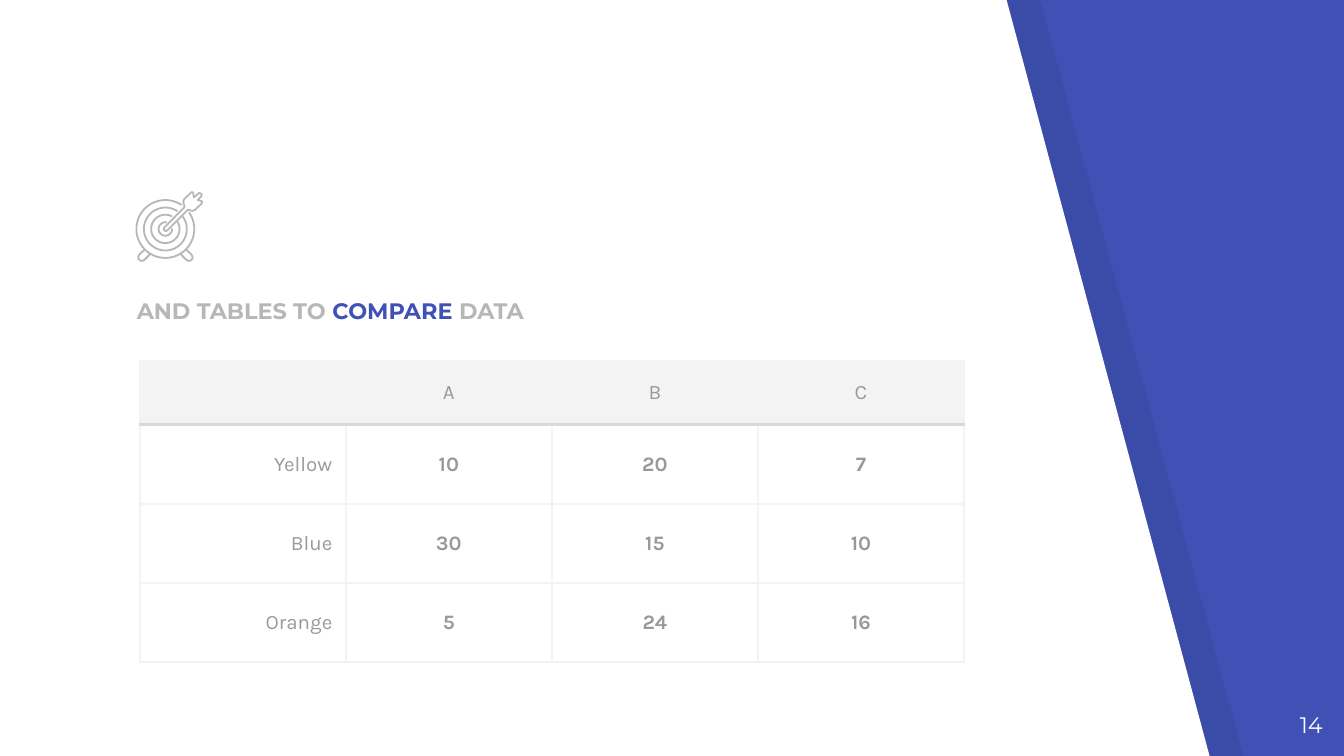
import math
from dataclasses import dataclass

from lxml import etree
from pptx import Presentation
from pptx import util as u
from pptx.dml import color
from pptx.enum import text
from pptx.oxml import ns


@dataclass(frozen=True)
class Theme:
    """Colours, fonts and type sizes of the deck."""
    blue: str = "3F51B5"
    white: str = "FFFFFF"
    black: str = "000000"
    muted: str = "B7B7B7"
    body: str = "999999"
    grid: str = "F3F3F3"
    rule: str = "D9D9D9"
    heading_font: str = "Montserrat"
    body_font: str = "Karla"
    heading_size: float = 12
    body_size: float = 11
    icon_line: float = 0.96
    grid_line: float = 1.5


@dataclass(frozen=True)
class Box:
    """A region of the page, in points."""
    left: float
    top: float
    width: float
    height: float

    def lengths(self):
        """Return the box as slide lengths."""
        return [u.Pt(side) for side in (self.left, self.top, self.width, self.height)]


THEME = Theme()
ALIGN = text.PP_ALIGN
ANCHOR = text.MSO_ANCHOR


def rgb(code):
    """Turn a hex code into a colour."""
    return color.RGBColor.from_string(code)


def write(frame, spans, font, size, align=ALIGN.LEFT, anchor=ANCHOR.TOP, bold=False):
    """Write (wording, colour) spans as one paragraph of a text frame."""
    frame.word_wrap = True
    frame.vertical_anchor = anchor
    para = frame.paragraphs[0]
    para.alignment = align
    for wording, code in spans:
        span = para.add_run()
        span.text = wording
        span.font.name = font
        span.font.size = u.Pt(size)
        span.font.bold = bold
        span.font.color.rgb = rgb(code)


def add_text(page, box, spans, **form):
    """Add a text box with even insets."""
    frame = page.shapes.add_textbox(*box.lengths()).text_frame
    frame.margin_left = frame.margin_right = u.Pt(7.2)
    frame.margin_top = frame.margin_bottom = u.Pt(7.2)
    write(frame, spans, **form)


def add_outline(page, box, points, fill=None, line=None, alpha=None, close=False):
    """Draw a freeform through points measured from the corner of the box."""
    places = [(u.Pt(box.left + x), u.Pt(box.top + y)) for x, y in points]
    builder = page.shapes.build_freeform(*places[0])
    builder.add_line_segments(places[1:], close=close)
    shape = builder.convert_to_shape()
    shape.shadow.inherit = False
    if fill:
        shape.fill.solid()
        shape.fill.fore_color.rgb = rgb(fill)
    else:
        shape.fill.background()
    if line:
        shape.line.color.rgb = rgb(line)
        shape.line.width = u.Pt(THEME.icon_line)
    else:
        shape.line.fill.background()
    if alpha:
        tint = shape.fill._xPr.find(".//" + ns.qn("a:srgbClr"))
        etree.SubElement(tint, ns.qn("a:alpha"), val=str(alpha * 1000))


def add_backdrop(page, box):
    """Lay a slanted white sheet and its soft shadow over the blue page."""
    page.background.fill.solid()
    page.background.fill.fore_color.rgb = rgb(THEME.blue)
    sheet = [(0, 0), (0, box.height), (0.9 * box.width, box.height), (0.749 * box.width, 0)]
    shadow = [(x + 18, y) for x, y in sheet]
    add_outline(page, box, shadow, fill=THEME.black, alpha=7, close=True)
    add_outline(page, box, sheet, fill=THEME.white, close=True)


def add_target_icon(page, box):
    """Draw a target on two feet, hit by an arrow."""
    middle_x, middle_y = 15.9, 19.8
    rings = [(15.5, 35, 56), (11.5, 36, 56), (7.6, 31, 62), (3.6, 5, 78)]
    for radius, gap_start, gap_end in rings:
        sweep = 360 - gap_end + gap_start
        angles = [math.radians(gap_end + sweep * step / 60) for step in range(61)]
        arc = [(middle_x + radius * math.cos(a), middle_y - radius * math.sin(a))
               for a in angles]
        add_outline(page, box, arc, line=THEME.muted)
    foot = [(11.3, 11.2), (14, 13.7), (14.6, 15), (14.3, 16.2), (13.4, 17),
            (12.3, 17.1), (11.2, 16.5), (8.6, 13.9), (8.4, 13.2)]
    for side in (-1, 1):
        points = [(middle_x + side * x, middle_y + y) for x, y in foot]
        add_outline(page, box, points, line=THEME.muted)
    arrow = [(35.5, 5), (33.3, 4.2), (35.3, 2.2), (35.3, 0.9), (34, 0.5), (31.2, 2.9),
             (30.8, 0.2), (30, 0), (26, 3.8), (25.5, 5.2), (26.2, 8), (15.2, 19.2),
             (15.2, 20.5), (16.3, 20.9), (17, 20.5), (28, 9.5), (30.5, 10.1),
             (31.8, 9.5), (35.6, 5.9)]
    add_outline(page, box, arrow, line=THEME.muted, close=True)


def set_borders(cell, **sides):
    """Set the border colours of a cell, keyed L, R, T and B."""
    properties = cell._tc.get_or_add_tcPr()
    for place, side in enumerate("LRTB"):
        line = etree.Element(ns.qn("a:ln" + side), w=str(u.Pt(THEME.grid_line)))
        fill = etree.SubElement(line, ns.qn("a:solidFill"))
        etree.SubElement(fill, ns.qn("a:srgbClr"), val=sides.get(side, THEME.grid))
        properties.insert(place, line)


def add_comparison_table(page, box, rows):
    """Add a table with a tinted header row and right-aligned row names."""
    header_height = 33.8
    table = page.shapes.add_table(len(rows), len(rows[0]), *box.lengths()).table
    table.first_row = table.horz_banding = False
    for column in table.columns:
        column.width = u.Pt(box.width / len(rows[0]))
    for r, values in enumerate(rows):
        body_height = (box.height - header_height) / (len(rows) - 1)
        table.rows[r].height = u.Pt(body_height if r else header_height)
        for c, value in enumerate(values):
            cell = table.cell(r, c)
            cell.margin_left = cell.margin_right = u.Pt(7.2)
            cell.margin_top = cell.margin_bottom = u.Pt(5)
            cell.vertical_anchor = ANCHOR.MIDDLE
            if r:
                cell.fill.background()
            else:
                cell.fill.solid()
                cell.fill.fore_color.rgb = rgb(THEME.grid)
            set_borders(cell, **{0: {"B": THEME.rule}, 1: {"T": THEME.rule}}.get(r, {}))
            if value:
                write(cell.text_frame, [(value, THEME.body)], font=THEME.body_font,
                      size=THEME.body_size, bold=r > 0 and c > 0, anchor=ANCHOR.MIDDLE,
                      align=ALIGN.CENTER if c else ALIGN.RIGHT)


def main():
    """Build the deck and save it."""
    deck = Presentation()
    deck.slide_width, deck.slide_height = u.Pt(720), u.Pt(405)
    page = deck.slides.add_slide(deck.slide_layouts[6])
    heading = {"font": THEME.heading_font, "size": THEME.heading_size}
    add_backdrop(page, Box(0, 0, 720, 405))
    title = [("AND TABLES TO ", THEME.muted), ("COMPARE", THEME.blue), (" DATA", THEME.muted)]
    add_text(page, Box(66.2, 148.3, 378, 32.4), title, bold=True, anchor=ANCHOR.BOTTOM, **heading)
    add_comparison_table(page, Box(74.9, 193.7, 441.6, 161), [
        ("", "A", "B", "C"),
        ("Yellow", "10", "20", "7"),
        ("Blue", "30", "15", "10"),
        ("Orange", "5", "24", "16"),
    ])
    add_target_icon(page, Box(72.7, 102.9, 36, 37))
    add_text(page, Box(672.5, 373.7, 43.2, 31), [("14", THEME.white)], align=ALIGN.RIGHT, **heading)
    deck.save("out.pptx")


if __name__ == "__main__":
    main()
